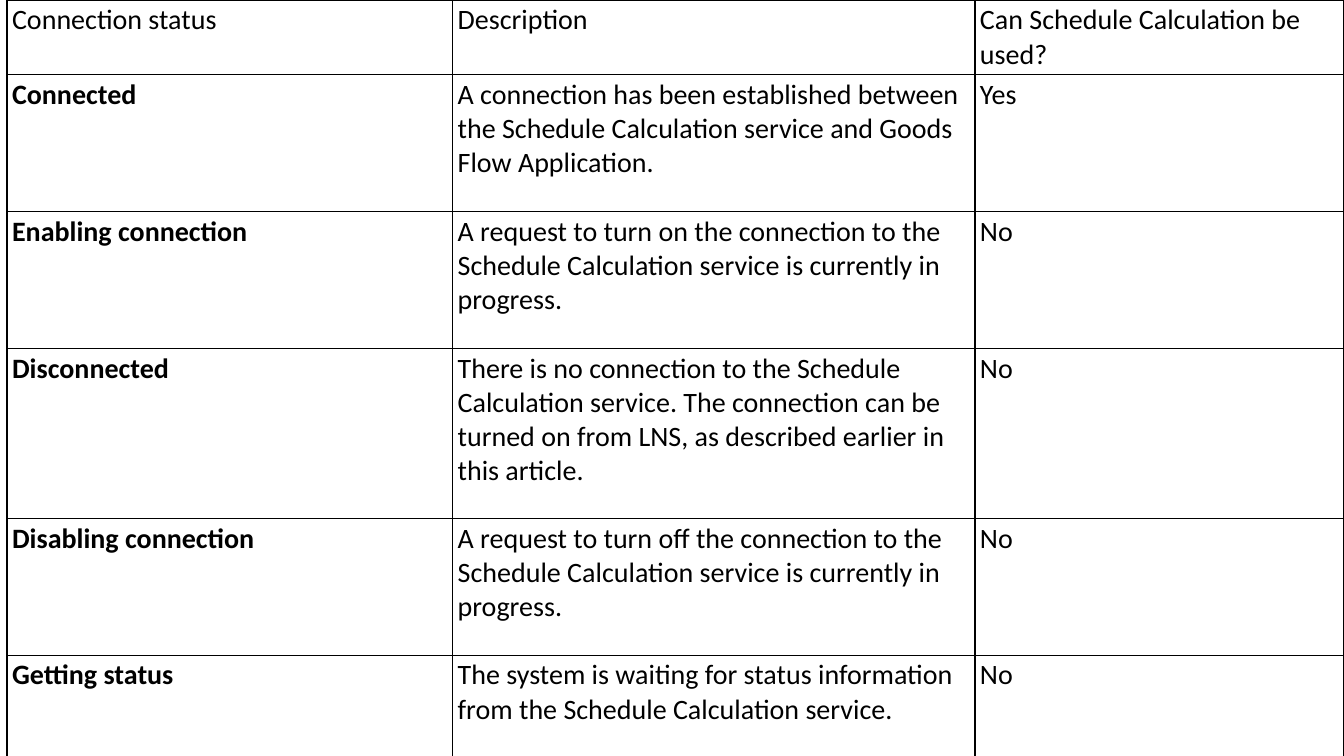
"""Build a slide with a table of connection statuses."""
from dataclasses import dataclass

from lxml.etree import SubElement
from pptx import Presentation
from pptx.dml.color import RGBColor
from pptx.enum.text import MSO_ANCHOR as Anchor
from pptx.oxml.ns import qn
from pptx.table import _Cell as Cell
from pptx.util import Inches, Pt

BLACK = RGBColor(0x00, 0x00, 0x00)
WIDTH, HEIGHT = Inches(13.33), Inches(7.5)
COLUMN_PERCENTS = (33.16, 38.86, 27.46)
LINE_PERCENT, ROW_PAD_PERCENT = 4.4, 0.5
BORDER_WIDTH = Pt(1)
FONT = {"name": "Calibri", "size": Pt(20)}
CELL_FORMAT = {
    "margin_left": Inches(0.05),
    "margin_right": Inches(0.05),
    "margin_top": Inches(0.03),
    "margin_bottom": Inches(0.03),
    "vertical_anchor": Anchor.TOP,
}


@dataclass(frozen=True)
class StatusRow:
    """A table row and its height in text lines."""
    status: str
    description: str
    usable: str
    lines: int = 4
    bold: bool = True


ROWS = (
    StatusRow("Connection status", "Description",
              "Can Schedule Calculation be used?", 2, False),
    StatusRow("Connected",
              "A connection has been established between the Schedule "
              "Calculation service and Goods Flow Application.", "Yes"),
    StatusRow("Enabling connection",
              "A request to turn on the connection to the Schedule "
              "Calculation service is currently in progress.", "No"),
    StatusRow("Disconnected",
              "There is no connection to the Schedule Calculation service. "
              "The connection can be turned on from LNS, as described "
              "earlier in this article.", "No", 5),
    StatusRow("Disabling connection",
              "A request to turn off the connection to the Schedule "
              "Calculation service is currently in progress.", "No"),
    StatusRow("Getting status",
              "The system is waiting for status information from the "
              "Schedule Calculation service.", "No", 3),
)


def share(percent: float, length: int) -> int:
    """Return a percentage of a length."""
    return round(length * percent / 100)


def add_borders(cell: Cell) -> None:
    """Draw a solid line on all four sides of a cell."""
    props = cell._tc.get_or_add_tcPr()
    for side in ("lnL", "lnR", "lnT", "lnB"):
        line = SubElement(props, qn(f"a:{side}"), w=str(BORDER_WIDTH))
        fill = SubElement(line, qn("a:solidFill"))
        SubElement(fill, qn("a:srgbClr"), val=str(BLACK))


def write_cell(cell: Cell, text: str, bold: bool) -> None:
    """Fill and format one table cell."""
    for name, value in CELL_FORMAT.items():
        setattr(cell, name, value)
    add_borders(cell)
    cell.fill.background()
    r = cell.text_frame.paragraphs[0].add_run()
    r.text = text
    for name, value in {**FONT, "bold": bold}.items():
        setattr(r.font, name, value)
    r.font.color.rgb = BLACK


def main() -> None:
    """Create and save the presentation."""
    prs = Presentation()
    prs.slide_width, prs.slide_height = WIDTH, HEIGHT
    s = prs.slides.add_slide(prs.slide_layouts[6])
    widths = [share(percent, WIDTH) for percent in COLUMN_PERCENTS]
    heights = [share(row.lines * LINE_PERCENT + ROW_PAD_PERCENT, HEIGHT)
               for row in ROWS]
    table = s.shapes.add_table(len(ROWS), len(widths), WIDTH - sum(widths), 0,
                               sum(widths), sum(heights)).table
    table.first_row = table.horz_banding = False
    for column, width in zip(table.columns, widths):
        column.width = width
    for table_row, row, height in zip(table.rows, ROWS, heights):
        table_row.height = height
        texts = (row.status, row.description, row.usable)
        for i, (cell, text) in enumerate(zip(table_row.cells, texts)):
            write_cell(cell, text, row.bold and i == 0)
    prs.save("out.pptx")


if __name__ == "__main__":
    main()
